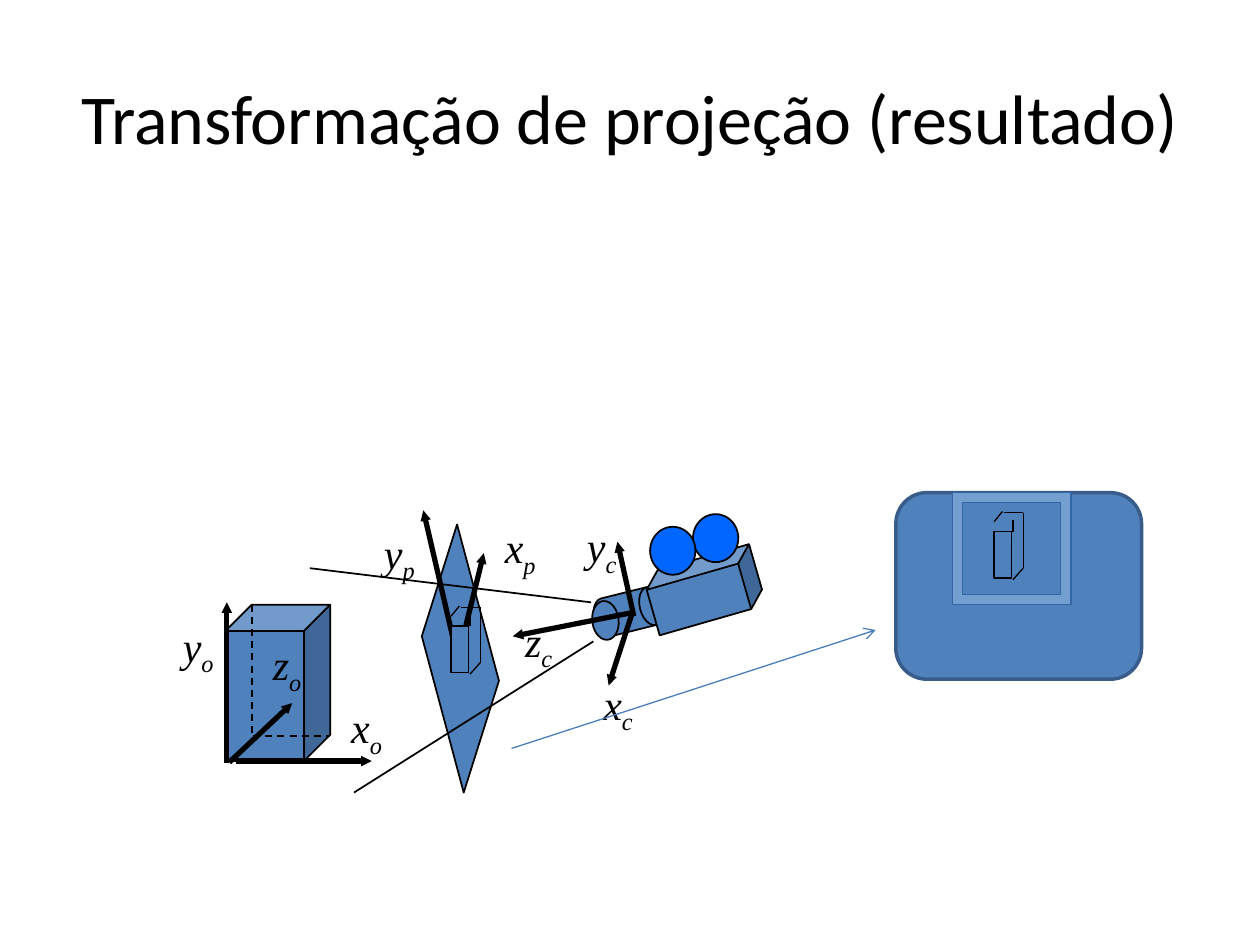
from dataclasses import dataclass

from pptx import Presentation
from pptx.dml.color import RGBColor
from pptx.enum.dml import MSO_LINE
from pptx.enum.shapes import MSO_CONNECTOR, MSO_SHAPE
from pptx.enum.text import MSO_ANCHOR, MSO_AUTO_SIZE, PP_ALIGN
from pptx.oxml.ns import qn
from pptx.util import Pt
from lxml.etree import SubElement


@dataclass(frozen=True)
class Theme:
    ink: RGBColor = RGBColor(0, 0, 0)
    solid: RGBColor = RGBColor(0x4F, 0x81, 0xBD)
    reel: RGBColor = RGBColor(0, 0x66, 0xFF)
    screen_edge: RGBColor = RGBColor(0x38, 0x5D, 0x8A)
    pointer: RGBColor = RGBColor(0x4A, 0x7E, 0xBB)
    frame: RGBColor = RGBColor(0x72, 0x9F, 0xCF)
    frame_edge: RGBColor = RGBColor(0x34, 0x65, 0xA4)
    title_font: str = "Calibri"
    label_font: str = "Times New Roman"
    title_size: int = 40
    label_size: int = 24


theme = Theme()


def paint(shape, fill, edge, weight):
    shape.shadow.inherit = False
    shape.fill.solid()
    shape.fill.fore_color.rgb = fill
    shape.line.color.rgb = edge
    shape.line.width = Pt(weight)


def draw_line(shapes, ends, weight, color=theme.ink, head=None, head_size="med"):
    line = shapes.add_connector(MSO_CONNECTOR.STRAIGHT, *[Pt(v) for v in ends])
    line.line.color.rgb = color
    line.line.width = Pt(weight)
    if head:
        SubElement(line.line._get_or_add_ln(), qn("a:tailEnd"), type=head, w=head_size, len=head_size)
    SubElement(line._element.spPr, qn("a:effectLst"))
    return line


prs = Presentation()
prs.slide_width, prs.slide_height = Pt(720), Pt(540)
slide = prs.slides.add_slide(prs.slide_layouts[5])
shapes = slide.shapes

title = shapes.title
title.left, title.top, title.width, title.height = Pt(36), Pt(21.6), Pt(648), Pt(90)
title.text_frame.text = "Transformação de projeção (resultado)"
title.text_frame.vertical_anchor = MSO_ANCHOR.MIDDLE
title_line = title.text_frame.paragraphs[0]
title_line.alignment = PP_ALIGN.CENTER
title_line.font.name = theme.title_font
title_line.font.size = Pt(theme.title_size)
title_line.font.color.rgb = theme.ink

plane = shapes.add_shape(MSO_SHAPE.PARALLELOGRAM, Pt(188.6), Pt(358.3), Pt(149), Pt(36))
plane.adjustments[0] = 1.57
plane.rotation = 75
plane._element.spPr.xfrm.set("flipV", "1")
paint(plane, theme.solid, theme.ink, 1)

solids = [
    (MSO_SHAPE.CUBE, (128.9, 345.6, 59.8, 89.3), 0, theme.solid),
    (MSO_SHAPE.FLOWCHART_DIRECT_ACCESS_STORAGE, (339.1, 338.4, 40.3, 22.3), 346, theme.solid),
    (MSO_SHAPE.OVAL, (338.4, 343.4, 15.1, 22.3), 353, theme.solid),
    (MSO_SHAPE.CUBE, (370.8, 319, 63.4, 36), 344, theme.solid),
    (MSO_SHAPE.OVAL, (396, 293.8, 25.9, 27.4), 0, theme.reel),
    (MSO_SHAPE.OVAL, (371.5, 301, 25.9, 27.4), 0, theme.reel),
]
for preset, box, turn, fill in solids:
    solid = shapes.add_shape(preset, *[Pt(v) for v in box])
    solid.rotation = turn
    paint(solid, fill, theme.ink, 1)

hidden_edges = [(144, 345.6, 144, 420.5), (144.7, 420.5, 188.6, 420.5)]
for ends in hidden_edges:
    draw_line(shapes, ends, 1).line.dash_style = MSO_LINE.DASH

view_rays = [(339.1, 366.5, 202.3, 452.9), (337.7, 344.2, 177.1, 324.7)]
for ends in view_rays:
    draw_line(shapes, ends, 1)

label_width, label_height = 36, 40.3
axes = [
    ("x", "o", (134.6, 434.9, 212.4, 434.9), (209.5, 397.4)),
    ("z", "o", (131, 435.6, 167, 401.8), (164.1, 361.4)),
    ("y", "o", (129.6, 436.3, 129.6, 344.2), (113.3, 350.6)),
    ("z", "c", (362.2, 349.9, 293, 363.6), (307.8, 347.8)),
    ("y", "c", (362.2, 352.1, 352.8, 309.6), (343.8, 293.8)),
    ("x", "c", (361.4, 349.9, 347.8, 391.7), (353.2, 383.8)),
    ("y", "p", (262.8, 381.6, 241.9, 291.6), (228.2, 297.4)),
    ("x", "p", (260.6, 380.2, 276.5, 316.1), (297.3, 294.5)),
]
for letter, index, ends, (center, top) in axes:
    draw_line(shapes, ends, 3, head="triangle", head_size="sm")
    label = shapes.add_textbox(
        Pt(center - label_width / 2), Pt(top), Pt(label_width), Pt(label_height)
    ).text_frame
    label.word_wrap = False
    label.auto_size = MSO_AUTO_SIZE.SHAPE_TO_FIT_TEXT
    label.vertical_anchor = MSO_ANCHOR.MIDDLE
    symbol = label.paragraphs[0]
    symbol.alignment = PP_ALIGN.CENTER
    for part in (letter, index):
        run = symbol.add_run()
        run.text = part
        run.font.name = theme.label_font
        run.font.size = Pt(theme.label_size)
        run.font.italic = True
        run.font.color.rgb = theme.ink
    run.font._element.set("baseline", "-25000")

screen = shapes.add_shape(MSO_SHAPE.ROUNDED_RECTANGLE, Pt(511.9), Pt(281.5), Pt(140.4), Pt(106.6))
paint(screen, theme.solid, theme.screen_edge, 2)
draw_line(shapes, (292.3, 427.7, 500.4, 360), 0.75, theme.pointer, "arrow")
draw_line(shapes, (579.6, 310.3, 579.6, 303.1), 0.75, theme.pointer)

projected_edges = [
    (10.8, 38.9, 16.6, 32.4),
    (10.8, 11.5, 10.8, 5),
    (16.6, 0.7, 16.6, 32.4),
    (0, 5.8, 4.7, 0),
    (5.4, 0.7, 16.6, 0.7),
]
for left, top in [(257.8, 346.3), (568.1, 292.3)]:
    projection = shapes.add_group_shape().shapes
    face = projection.add_shape(MSO_SHAPE.RECTANGLE, Pt(left), Pt(top + 11.5), Pt(10.1), Pt(26.6))
    paint(face, theme.solid, theme.ink, 0.75)
    for x1, y1, x2, y2 in projected_edges:
        draw_line(projection, (left + x1, top + y1, left + x2, top + y2), 0.75)

outer = [(544.3, 281.5), (612, 281.5), (612, 345.6), (544.3, 345.6)]
inner = [(550.1, 287.3), (550.1, 339.8), (606.2, 339.8), (606.2, 287.3)]
outline = shapes.build_freeform(Pt(outer[0][0]), Pt(outer[0][1]))
outline.add_line_segments([(Pt(x), Pt(y)) for x, y in outer[1:]], close=True)
outline.move_to(Pt(inner[0][0]), Pt(inner[0][1]))
outline.add_line_segments([(Pt(x), Pt(y)) for x, y in inner[1:]], close=True)
paint(outline.convert_to_shape(), theme.frame, theme.frame_edge, 0.75)

prs.save("out.pptx")
